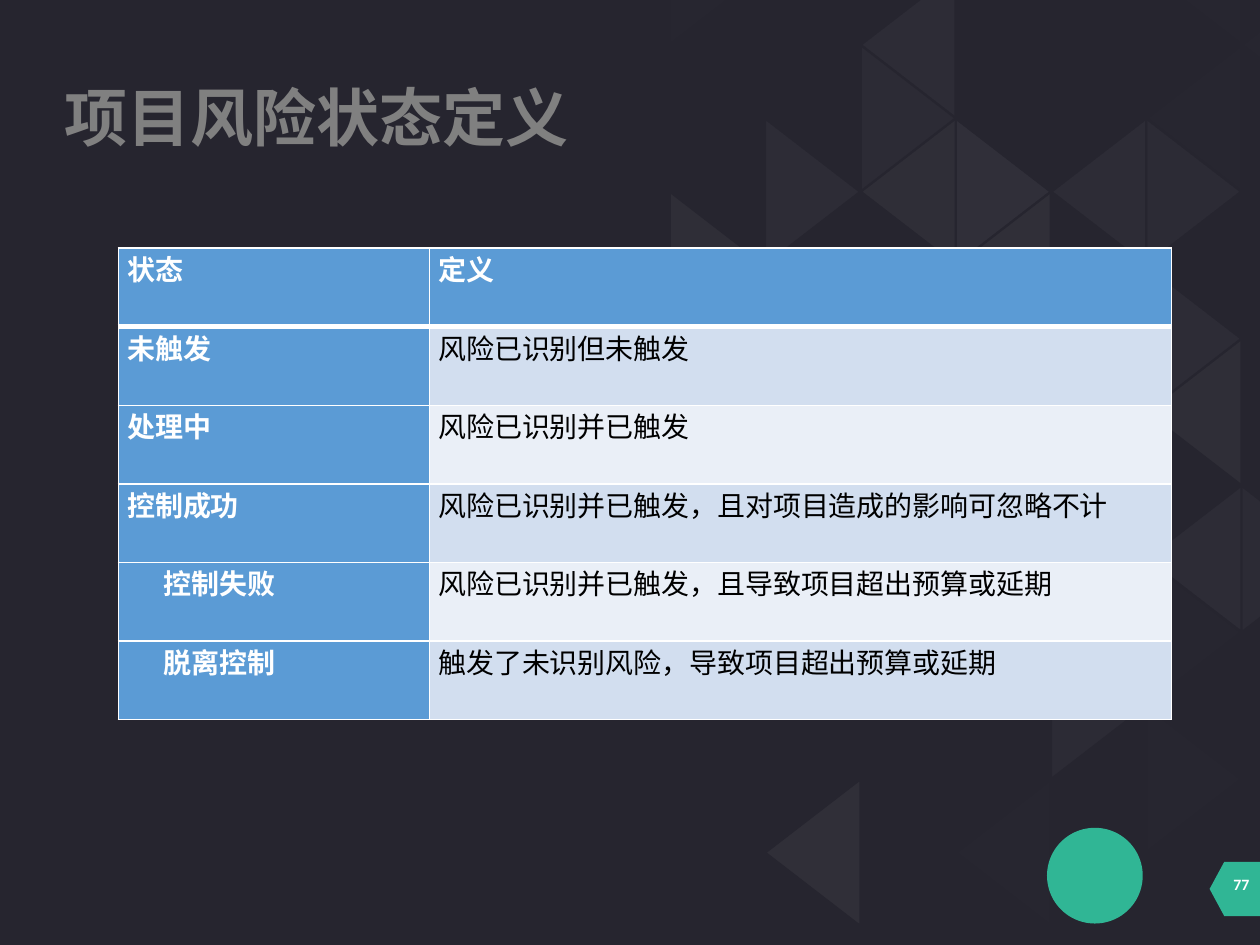
from lxml.etree import SubElement
from pptx import Presentation
from pptx.dml.color import RGBColor
from pptx.enum.shapes import MSO_SHAPE
from pptx.enum.text import MSO_ANCHOR, MSO_AUTO_SIZE, PP_ALIGN
from pptx.oxml import parse_xml
from pptx.oxml.ns import nsdecls, qn
from pptx.util import Inches, Pt

BACK, GREEN, BLUE, WHITE = "26252F", "30B695", "5B9BD5", "FFFFFF"
BANDS = ["D2DEEF", "EAEFF7"]

# Triangles by (column, row): fill, opacity in percent, cells
TILES = [
    ("FBFBFB", 5, [(4, 3), (2, 5), (2, 7)]),
    ("F2F2F2", 5, [(5, 5), (3, 7), (2, 12), (4, 4), (5, 7)]),
    ("D9D9D9", 5, [(3, 3), (6, 6), (1, 4), (4, 8)]),
    ("BFBFBF", 5, [(1, 6), (6, 5), (6, 8), (5, 3), (3, 5), (2, 3), (3, 1)]),
    ("A6A6A6", 5, [(1, 5), (2, 8), (4, 7), (7, 8), (5, 10), (6, 3), (3, 2)]),
    (None, 0, [(6, 1), (3, 0), (5, 6), (1, 10), (7, 7), (7, 6), (5, 4),
               (2, 6), (0, 4), (2, 2), (5, 2), (4, 2), (7, 4), (6, 4),
               (5, 9), (4, 0), (0, 5), (5, 8), (5, 1), (7, 3), (1, 1),
               (3, 8), (2, 9), (1, 9), (3, 4), (4, 5), (3, 10), (4, 1)]),
    ("808080", 2, [(4, 12), (6, 0), (6, 9), (7, 1), (6, 2), (1, 0),
                   (6, 11), (4, 9)]),
    (None, 0, [(7, 0), (7, 2), (6, 12)]),
]

# State, definition, first-line indent of the state
ROWS = [
    ("状态", "定义", 0),
    ("未触发", "风险已识别但未触发", 0),
    ("处理中", "风险已识别并已触发", 0),
    ("控制成功", "风险已识别并已触发，且对项目造成的影响可忽略不计", 0),
    ("控制失败", "风险已识别并已触发，且导致项目超出预算或延期", 0.29),
    ("脱离控制", "触发了未识别风险，导致项目超出预算或延期", 0.29),
]


def paint(fill, color):
    fill.solid()
    fill.fore_color.rgb = RGBColor.from_string(color)


def write(frame, text, size=16, color=WHITE, bold=True, font="Calibri",
          align=PP_ALIGN.LEFT, indent=0):
    para = frame.paragraphs[0]
    para.alignment = align
    if indent:
        props = para._p.get_or_add_pPr()
        props.set("marL", "0")
        props.set("indent", str(Inches(indent)))
    run = para.add_run()
    run.text = text
    run.font.size = Pt(size)
    run.font.bold = bold
    run.font.name = font
    run.font.color.rgb = RGBColor.from_string(color)


def fit(frame):
    frame.word_wrap = False
    frame.auto_size = MSO_AUTO_SIZE.SHAPE_TO_FIT_TEXT
    frame.vertical_anchor = MSO_ANCHOR.TOP


def add_tiles(slide, left, top, wide, high):
    """Triangles on a grid of 8 columns and 14 half-height rows."""
    group = slide.shapes.add_group_shape()
    step, half = wide / 8, high / 14
    for color, alpha, cells in TILES:
        for col, row in cells:
            x, y = left + col * step, top + row * half
            # Odd cells point right, even cells point left
            base, tip = (x, x + step) if (col + row) % 2 else (x + step, x)
            pen = group.shapes.build_freeform(Inches(base), Inches(y))
            pen.add_line_segments([(Inches(tip), Inches(y + half)),
                                   (Inches(base), Inches(y + 2 * half))])
            tile = pen.convert_to_shape()
            tile.shadow.inherit = False
            paint(tile.line.fill, BACK)
            tile.line.width = Pt(1.25)
            if color is None:
                tile.fill.background()
                continue
            paint(tile.fill, color)
            tone = tile._element.spPr.find(qn("a:solidFill"))[0]
            SubElement(tone, qn("a:alpha")).set("val", str(alpha * 1000))


def add_mark(slide, kind, left, top, wide, high):
    mark = slide.shapes.add_shape(kind, Inches(left), Inches(top),
                                  Inches(wide), Inches(high))
    mark.shadow.inherit = False
    paint(mark.fill, GREEN)
    mark.line.fill.background()
    return mark


def add_page(slide, left, top, wide, high):
    """Page tag pointing left, with its number."""
    tag = add_mark(slide, MSO_SHAPE.PENTAGON, left, top, wide, high)
    tag.rotation = 180
    tag.adjustments[0] = 0.29
    box = slide.shapes.add_textbox(Inches(left + 0.09), Inches(top + 0.05),
                                   Inches(0.35), Inches(0.25))
    fit(box.text_frame)
    write(box.text_frame, "77", size=9)


def add_title(slide, left, top, wide, high):
    title = slide.shapes.title
    title.left, title.top = Inches(left), Inches(top)
    title.width, title.height = Inches(wide), Inches(high)
    fit(title.text_frame)
    write(title.text_frame, "项目风险状态定义", size=36, color="808080",
          font="Manrope")


def add_edges(cell, **widths):
    props = cell._tc.get_or_add_tcPr()
    for spot, side in enumerate("LRTB"):
        props.insert(spot, parse_xml(
            f'<a:ln{side} {nsdecls("a")} w="{Pt(widths.get(side, 1))}">'
            f'<a:solidFill><a:srgbClr val="{WHITE}"/></a:solidFill>'
            f'</a:ln{side}>'))


def add_states(slide, left, top, wide, high):
    """Table of risk states and their definitions."""
    table = slide.shapes.add_table(len(ROWS), 2, Inches(left), Inches(top),
                                   Inches(wide), Inches(high)).table
    table.columns[0].width = Inches(2.47)
    table.columns[1].width = Inches(wide - 2.47)
    for r, (state, sense, indent) in enumerate(ROWS):
        for c, text in enumerate((state, sense)):
            cell = table.cell(r, c)
            cell.margin_left = cell.margin_right = Inches(0.07)
            cell.margin_top = cell.margin_bottom = 0
            head = r == 0 or c == 0
            paint(cell.fill, BLUE if head else BANDS[(r - 1) % 2])
            write(cell.text_frame, text, color=WHITE if head else "000000",
                  bold=head, align=PP_ALIGN.JUSTIFY,
                  indent=0 if c else indent)
            # Thick rule under the header
            add_edges(cell, T=3 if r == 1 else 1, B=3 if r == 0 else 1)


def main():
    deck = Presentation()
    deck.slide_width, deck.slide_height = Inches(10), Inches(7.5)
    slide = deck.slides.add_slide(deck.slide_layouts[5])
    paint(slide.background.fill, BACK)
    add_tiles(slide, 4.56, -0.81, 6.05, 8.16)
    add_page(slide, 9.6, 6.84, 0.4, 0.43)
    add_title(slide, 0.41, 0.57, 4.26, 0.71)
    add_mark(slide, MSO_SHAPE.OVAL, 8.31, 6.57, 0.76, 0.76)
    add_states(slide, 0.94, 1.97, 8.36, 3.74)
    deck.save("out.pptx")


if __name__ == "__main__":
    main()
